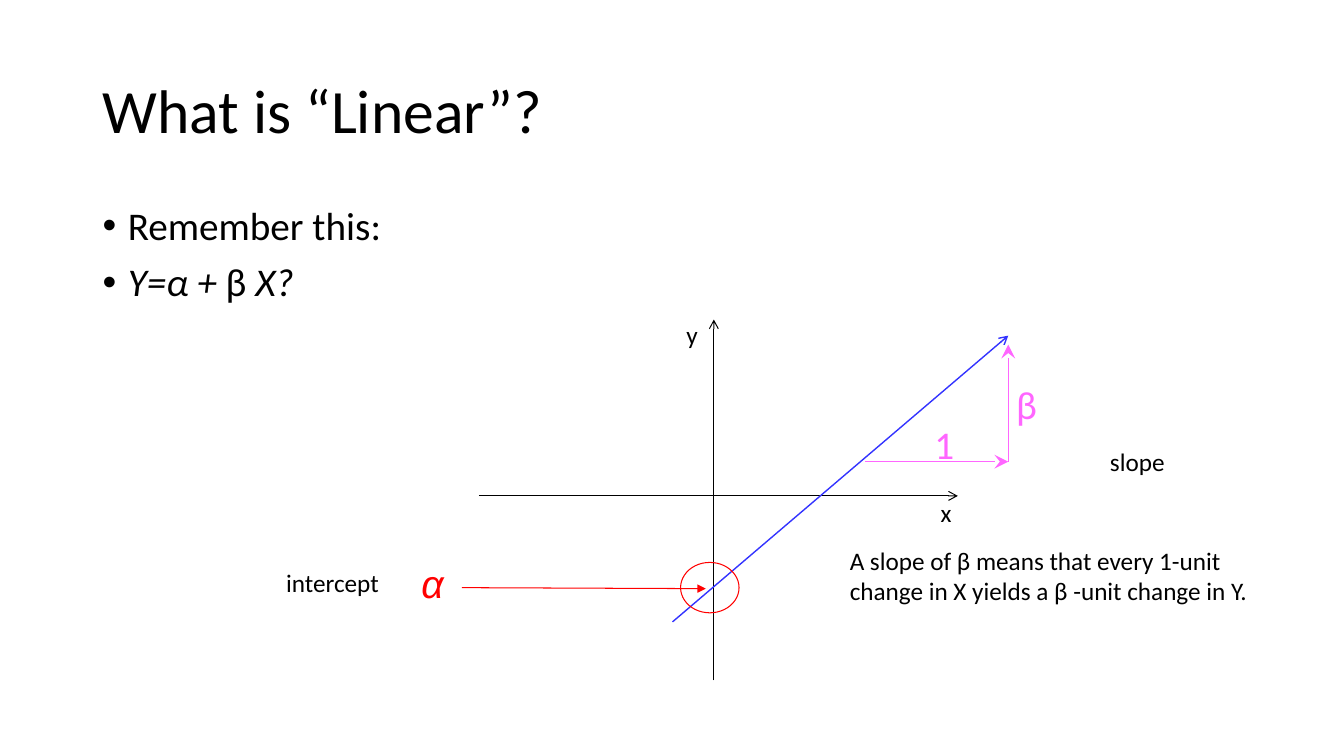
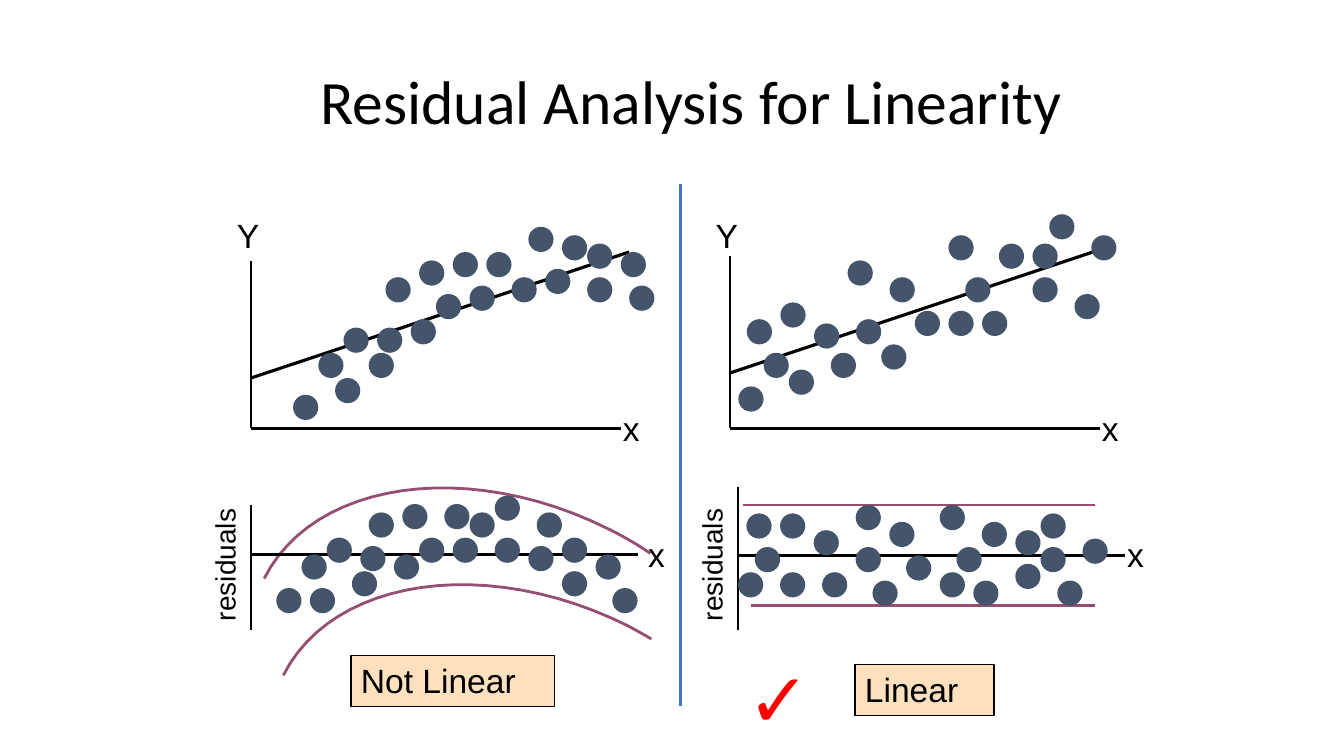
import dataclasses

import lxml.etree
import pptx
import pptx.dml.color
import pptx.enum.shapes
import pptx.enum.text
import pptx.oxml.ns
import pptx.util

Inches = pptx.util.Inches
Pt = pptx.util.Pt
qn = pptx.oxml.ns.qn
SHAPE = pptx.enum.shapes.MSO_SHAPE


@dataclasses.dataclass(frozen=True)
class Theme:
    """Hold the colours, fonts and type sizes of the slides."""
    ink: str = "000000"
    line: str = "3333FF"
    intercept: str = "FF0000"
    slope: str = "FF66FF"
    dot: str = "44546A"
    band: str = "954F72"
    divider: str = "4472C4"
    verdict: str = "FDE0BD"
    text_font: str = "Calibri"
    chart_font: str = "Arial"
    title: int = 44
    body: int = 28
    note: int = 18
    axis: int = 24
    side: int = 20
    tick: int = 54


THEME = Theme()
STEP = 1 / 12
DOT = 0.25

CURVED_SCATTER = [
    (5, 20), (10, 18), (28, 3), (31, 6), (37, 1), (14, 15), (35, 5),
    (40, 6), (40, 2), (44, 3), (33, 0), (22, 8), (24, 3), (20, 4),
    (8, 15), (11, 12), (15, 12), (26, 7), (16, 6), (45, 7), (19, 11)]
STRAIGHT_SCATTER = [
    (1, 19), (4, 15), (26, 1), (28, 6), (36, 2), (7, 17), (30, 10), (36, 6),
    (38, -1.5), (32, 2), (18, 14), (19, 6), (14, 4), (2, 11), (6, 9),
    (10, 11.5), (22, 10), (15, 11), (41, 8), (12, 15), (43, 1), (26, 10)]
CURVED_RESIDUALS = [
    (3, 10), (7, 10), (26, 1), (29, -1), (33, 5), (12, 8), (34, 1),
    (37, 8), (37, 4), (41, 6), (29, 4), (20, 4), (23, 0), (18, 0),
    (6, 6), (9, 4), (13, 5), (24, 4), (14, 1), (43, 10), (17, 6)]
STRAIGHT_RESIDUALS = [
    (9, 3), (5, 1), (0, 8), (2, 5), (1, 1), (14, 5), (14, 0), (5, 8),
    (24, 0), (18, 2), (16, 9), (10, 8), (33, 3), (24, 8), (20, 6), (33, 7),
    (26, 5), (28, 9), (29, 2), (38, 9), (36, 1), (41, 4), (36, 5)]


def rgb(value):
    """Return a colour from its hex value."""
    return pptx.dml.color.RGBColor.from_string(value)


def style(paragraph, size, color=THEME.ink, font=THEME.text_font, italic=False):
    """Format every run of a paragraph."""
    for run in paragraph.runs:
        run.font.size = Pt(size)
        run.font.name = font
        run.font.italic = italic
        run.font.color.rgb = rgb(color)


def label(shapes, box, words, size, color=THEME.ink, font=THEME.text_font,
          italic=False, wrap=True, turn=0):
    """Place a text box and return it."""
    caption = shapes.add_textbox(*map(Inches, box))
    caption.rotation = turn
    caption.text_frame.word_wrap = wrap
    caption.text_frame.text = words
    style(caption.text_frame.paragraphs[0], size, color, font, italic)
    return caption


def title(slide, box, words):
    """Place the slide title."""
    heading = label(slide.shapes, box, words, THEME.title)
    heading.text_frame.vertical_anchor = pptx.enum.text.MSO_ANCHOR.MIDDLE
    heading.text_frame.paragraphs[0].line_spacing = 0.9


def segment(shapes, start, end, color=THEME.ink, width=2, arrow=None, head="med"):
    """Draw a straight line, with an optional arrowhead at its end."""
    stroke = shapes.add_connector(
        pptx.enum.shapes.MSO_CONNECTOR.STRAIGHT, *map(Inches, (*start, *end)))
    stroke.line.color.rgb = rgb(color)
    stroke.line.width = Pt(width)
    properties = stroke._element.spPr
    if arrow:
        outline = properties.find(qn("a:ln"))
        lxml.etree.SubElement(outline, qn("a:tailEnd"), type=arrow, w=head, len=head)
    lxml.etree.SubElement(properties, qn("a:effectLst"))


def figure(shapes, kind, box, fill=None, line=None, width=1):
    """Place a preset shape with the given fill and outline."""
    form = shapes.add_shape(kind, *map(Inches, box))
    form.shadow.inherit = False
    if fill:
        form.fill.solid()
        form.fill.fore_color.rgb = rgb(fill)
    else:
        form.fill.background()
    if line:
        form.line.color.rgb = rgb(line)
        form.line.width = Pt(width)
    else:
        form.line.fill.background()
    return form


def dots(shapes, left, top, places):
    """Place data points on a grid of twelfths of an inch."""
    for column, row in places:
        figure(shapes, SHAPE.OVAL,
               (left + column * STEP, top + row * STEP, DOT, DOT), THEME.dot)


def bezier(points, steps=24):
    """Return points along one cubic curve."""
    curve = []
    for index in range(1, steps + 1):
        t = index / steps
        weights = ((1 - t) ** 3, 3 * t * (1 - t) ** 2, 3 * t * t * (1 - t), t ** 3)
        curve.append(tuple(sum(w * p[axis] for w, p in zip(weights, points))
                           for axis in (0, 1)))
    return curve


def arc(shapes, left, top, controls):
    """Draw a curved band edge through chained cubic curves."""
    knots = [(Inches(left + x), Inches(top + y)) for x, y in controls]
    builder = shapes.build_freeform(*knots[0])
    for first in range(0, len(knots) - 1, 3):
        builder.add_line_segments(bezier(knots[first:first + 4]), close=False)
    edge = builder.convert_to_shape()
    edge.shadow.inherit = False
    edge.fill.background()
    edge.line.color.rgb = rgb(THEME.band)
    edge.line.width = Pt(2)


def equation(slide, box):
    """Write the bulleted line equation."""
    frame = label(slide.shapes, box, "Remember this:", THEME.body).text_frame
    formula = frame.add_paragraph()
    for words in ("Y=α + ", "β ", "X?"):
        formula.add_run().text = words
    style(formula, THEME.body, italic=True)
    formula.runs[1].font.italic = False
    for paragraph in frame.paragraphs:
        paragraph.line_spacing = 0.9
        paragraph.space_before = Pt(10)
        properties = paragraph._p.get_or_add_pPr()
        properties.set("marL", str(Inches(0.25)))
        properties.set("indent", str(-Inches(0.25)))
        lxml.etree.SubElement(properties, qn("a:buFont"), typeface="Arial")
        lxml.etree.SubElement(properties, qn("a:buChar"), char="•")


def line_graph(slide, left, top):
    """Draw the axes, the line and its intercept and slope marks."""
    def at(x, y, *size):
        return (left + x, top + y, *size)

    shapes = slide.shapes
    segment(shapes, at(4.34, 3.58), at(4.34, 0), width=0.75, arrow="arrow")
    segment(shapes, at(2.01, 1.75), at(6.76, 1.75), width=0.75, arrow="arrow")
    segment(shapes, at(3.93, 3), at(7.26, 0.16), THEME.line, 1, "arrow")

    mark = shapes.add_group_shape().shapes
    figure(mark, SHAPE.OVAL, at(4.01, 2.41, 0.58, 0.5), line=THEME.intercept, width=0.75)
    label(mark, at(1.34, 2.33, 0.75, 0.57), "α", THEME.body,
          THEME.intercept, THEME.chart_font, italic=True)
    segment(mark, at(1.84, 2.66), at(4.26, 2.67), THEME.intercept, 0.75, "triangle")

    corner = at(7.26, 1.41)
    segment(shapes, at(5.84, 1.41), corner, THEME.slope, 0.75, "stealth", "lg")
    segment(shapes, corner, at(7.26, 0.25), THEME.slope, 0.75, "stealth", "lg")
    label(shapes, at(7.24, 0.55, 1, 0.57), "β", THEME.body, THEME.slope)
    label(shapes, at(6.43, 0.95, 1, 0.57), "1", THEME.body, THEME.slope)

    label(shapes, at(5.59, 2.19, 4.17, 1.16),
          "A slope of β means that every 1-unit change in X yields a β -unit change in Y.",
          THEME.note)
    for words, x, y, width in (("slope", 8.17, 1.21, 0.75), ("intercept", 0, 2.41, 1.13),
                               ("x", 6.49, 1.71, 0.31), ("y", 3.97, -0.05, 0.32)):
        label(shapes, at(x, y, width, 0.4), words, THEME.note, wrap=False)


def axis_label(shapes, left, top, words):
    """Name an axis."""
    label(shapes, (left, top, 0.45, 0.5), words, THEME.axis,
          font=THEME.chart_font, wrap=False)


def scatter(slide, box, places, axis_top, trend):
    """Draw a scatter panel with its trend line."""
    left, top, width, height = box
    shapes = slide.shapes
    base = top + height
    segment(shapes, (left, top + axis_top), (left, base))
    segment(shapes, (left, base), (left + width, base))
    segment(shapes, (left, top + trend), (left + 3.75, top + trend - 1.25), width=2.25)
    dots(shapes, left, top, places)
    axis_label(shapes, left - 0.24, top - 0.17, "Y")
    axis_label(shapes, left + width - 0.08, base - 0.25, "x")


def residuals(slide, box, places, zero, name_gap):
    """Draw a residual panel around its zero line."""
    left, top, width, height = box
    shapes = slide.shapes
    segment(shapes, (left, top), (left, top + height))
    segment(shapes, (left, zero), (left + width, zero))
    dots(shapes, left, zero - 0.5, places)
    axis_label(shapes, left + width - name_gap, 5.25, "x")
    label(shapes, (left - 0.98, 5.33, 1.43, 0.43), "residuals", THEME.side,
          font=THEME.chart_font, turn=270)


def verdict(slide, box, words):
    """Place a boxed verdict below the panels."""
    plate = figure(slide.shapes, SHAPE.RECTANGLE, box, THEME.verdict, THEME.ink)
    plate.text_frame.text = words
    plate.text_frame.vertical_anchor = pptx.enum.text.MSO_ANCHOR.TOP
    paragraph = plate.text_frame.paragraphs[0]
    paragraph.alignment = pptx.enum.text.PP_ALIGN.LEFT
    style(paragraph, THEME.axis, font=THEME.chart_font)


def linear_slide(slide):
    """Build the slide that recalls the line equation."""
    title(slide, (0.92, 0.4, 11.5, 1.45), "What is “Linear”?")
    equation(slide, (0.92, 2, 11.5, 4.76))
    line_graph(slide, 2.74, 3.17)


def residual_slide(slide):
    """Build the slide that compares two residual patterns."""
    shapes = slide.shapes
    title(slide, (3.08, 0.5, 7.74, 1.08), "Residual Analysis for Linearity")
    verdict(slide, (3.48, 6.5, 2.02, 0.51), "Not Linear")
    verdict(slide, (8.48, 6.59, 1.38, 0.51), "Linear")
    label(shapes, (7.32, 6.42, 1.43, 1.01), "✓", THEME.tick,
          THEME.intercept, THEME.chart_font)

    bend = [(0, 0), (0.49, -0.97), (2.02, -1.19), (3.42, -0.49)]
    arc(shapes, 2.62, 5.74, bend + [(3.56, -0.42), (3.7, -0.34), (3.83, -0.25)])
    arc(shapes, 2.81, 6.7, bend + [(3.49, -0.45), (3.57, -0.41), (3.65, -0.36)])
    for start, height in ((7.37, 5.01), (7.45, 6.01)):
        segment(shapes, (start, height), (10.86, height), THEME.band)

    residuals(slide, (2.49, 5.01, 3.84, 1.24), CURVED_RESIDUALS, 5.5, 0)
    residuals(slide, (7.32, 4.83, 3.84, 1.42), STRAIGHT_RESIDUALS, 5.51, 0.08)
    scatter(slide, (2.49, 2.25, 3.67, 2), CURVED_SCATTER, 0.34, 1.5)
    scatter(slide, (7.24, 2.25, 3.67, 2), STRAIGHT_SCATTER, 0.29, 1.45)
    segment(shapes, (6.75, 1.83), (6.75, 7), THEME.divider, 2.25)


def main():
    """Build and save the presentation."""
    deck = pptx.Presentation()
    deck.slide_width = Inches(13.33)
    deck.slide_height = Inches(7.5)
    for build in (linear_slide, residual_slide):
        build(deck.slides.add_slide(deck.slide_layouts[6]))
    deck.save("out.pptx")


if __name__ == "__main__":
    main()
